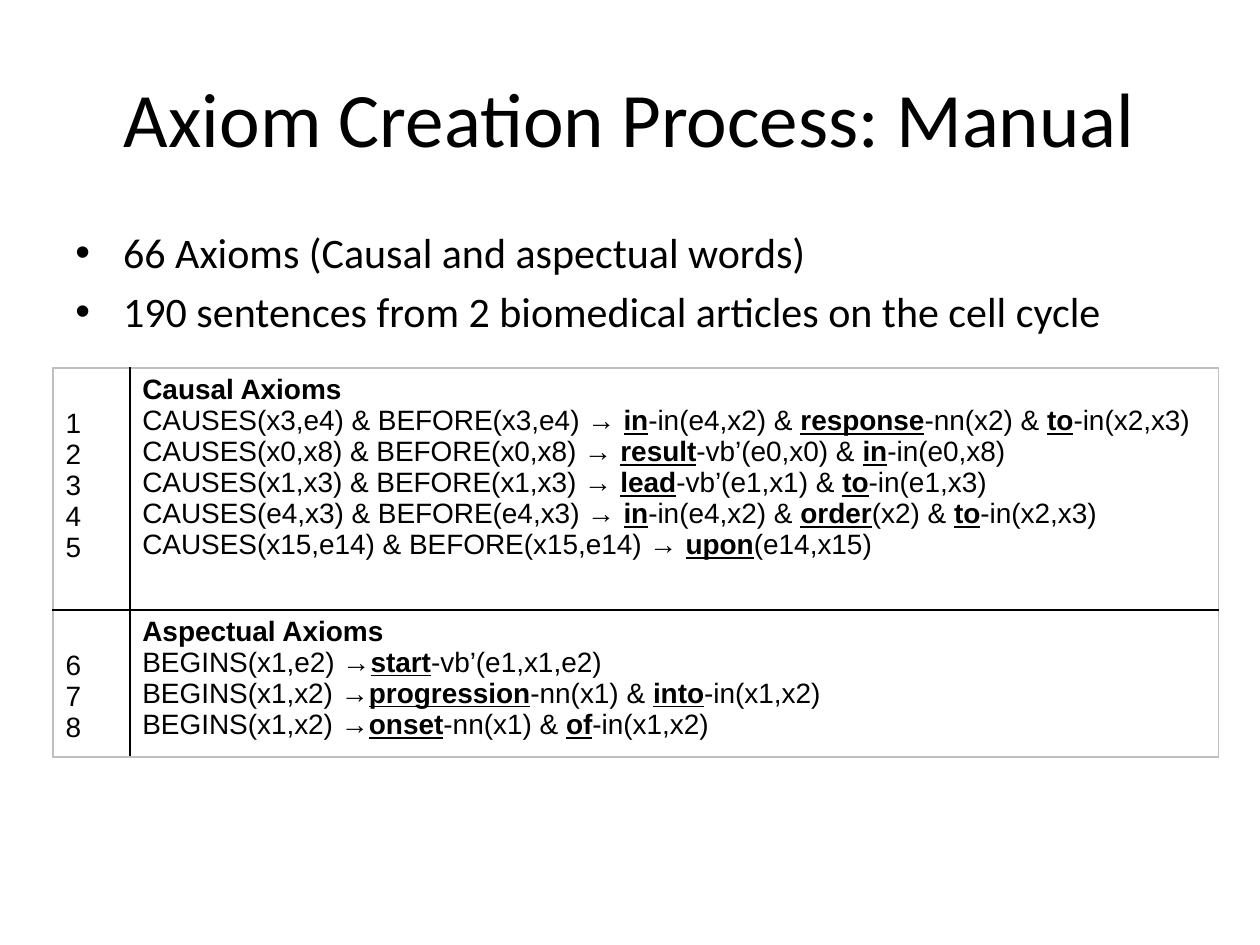
from lxml.etree import SubElement
from pptx import Presentation
from pptx.dml.color import RGBColor
from pptx.enum.text import MSO_ANCHOR as Anchor, PP_ALIGN as Align
from pptx.oxml.ns import qn
from pptx.util import Inches, Pt

COLORS = {"text": "000000", "inner": "000000", "outer": "BFBFBF"}
TITLE = {"name": "Calibri", "size": Pt(44)}
BODY = {"name": "Calibri", "size": Pt(24)}
AXIOM = {"name": "Arial", "size": Pt(16)}
HEADING = {**AXIOM, "bold": True}
KEYWORD = {**HEADING, "underline": True}


def add_run(paragraph, text, style):
    run = paragraph.add_run()
    run.text = text
    for name, value in style.items():
        setattr(run.font, name, value)
    run.font.color.rgb = RGBColor.from_string(COLORS["text"])


def next_paragraph(frame, index):
    return frame.add_paragraph() if index else frame.paragraphs[0]


presentation = Presentation()
presentation.slide_width = Inches(10)
presentation.slide_height = Inches(7.5)
slide = presentation.slides.add_slide(presentation.slide_layouts[6])

# Title
title = slide.shapes.add_textbox(Inches(0.5), Inches(0.3), Inches(9), Inches(1.25)).text_frame
title.word_wrap = True
title.vertical_anchor = Anchor.MIDDLE
title.paragraphs[0].alignment = Align.CENTER
add_run(title.paragraphs[0], "Axiom Creation Process: Manual", TITLE)

# Bullets
body = slide.shapes.add_textbox(Inches(0.5), Inches(1.75), Inches(9), Inches(4.95)).text_frame
body.word_wrap = True
bullets = [
    "66 Axioms (Causal and aspectual words)",
    "190 sentences from 2 biomedical articles on the cell cycle",
]
for index, text in enumerate(bullets):
    paragraph = next_paragraph(body, index)
    if index:
        paragraph.space_before = Pt(4.8)
    properties = paragraph._p.get_or_add_pPr()
    properties.set("marL", str(Inches(0.38)))
    properties.set("indent", str(-Inches(0.38)))
    SubElement(properties, qn("a:buFont"), typeface="Arial")
    SubElement(properties, qn("a:buChar"), char="•")
    add_run(paragraph, text, BODY)

# Axioms by group; keywords stand between asterisks
groups = [
    ("Causal Axioms", [
        "CAUSES(x3,e4) & BEFORE(x3,e4) → *in*-in(e4,x2) & *response*-nn(x2) & *to*-in(x2,x3)",
        "CAUSES(x0,x8) & BEFORE(x0,x8) → *result*-vb’(e0,x0) & *in*-in(e0,x8)",
        "CAUSES(x1,x3) & BEFORE(x1,x3) → *lead*-vb’(e1,x1) & *to*-in(e1,x3)",
        "CAUSES(e4,x3) & BEFORE(e4,x3) → *in*-in(e4,x2) & *order*(x2) & *to*-in(x2,x3)",
        "CAUSES(x15,e14) & BEFORE(x15,e14) → *upon*(e14,x15)",
    ]),
    ("Aspectual Axioms", [
        "BEGINS(x1,e2) →*start*-vb’(e1,x1,e2)",
        "BEGINS(x1,x2) →*progression*-nn(x1) & *into*-in(x1,x2)",
        "BEGINS(x1,x2) →*onset*-nn(x1) & *of*-in(x1,x2)",
    ]),
]

# Axiom table
table = slide.shapes.add_table(
    2, 2, Inches(0.42), Inches(2.92), Inches(9.25), Inches(3.03)).table
table.first_row = table.horz_banding = False
for column, width in zip(table.columns, (0.61, 8.64)):
    column.width = Inches(width)
for row, height in zip(table.rows, (1.92, 1.11)):
    row.height = Inches(height)

number = 0
for row_index, (heading, axioms) in enumerate(groups):
    number_cell, axiom_cell = table.rows[row_index].cells
    number_cell.margin_top = Inches(0.32)  # numbers start beside the first axiom
    add_run(axiom_cell.text_frame.paragraphs[0], heading, HEADING)
    for index, axiom in enumerate(axioms):
        number += 1
        add_run(next_paragraph(number_cell.text_frame, index), str(number), AXIOM)
        paragraph = axiom_cell.text_frame.add_paragraph()
        for part, text in enumerate(axiom.split("*")):
            add_run(paragraph, text, KEYWORD if part % 2 else AXIOM)

    # Grey frame, black inner lines
    for column_index, cell in enumerate((number_cell, axiom_cell)):
        inner_edges = ("lnR" if column_index == 0 else "lnL",
                       "lnB" if row_index == 0 else "lnT")
        properties = cell._tc.get_or_add_tcPr()
        for edge in ("lnL", "lnR", "lnT", "lnB"):
            line = SubElement(properties, qn(f"a:{edge}"), w=str(Pt(1)))
            fill = SubElement(line, qn("a:solidFill"))
            color = COLORS["inner" if edge in inner_edges else "outer"]
            SubElement(fill, qn("a:srgbClr"), val=color)
        cell.fill.background()

presentation.save("out.pptx")
